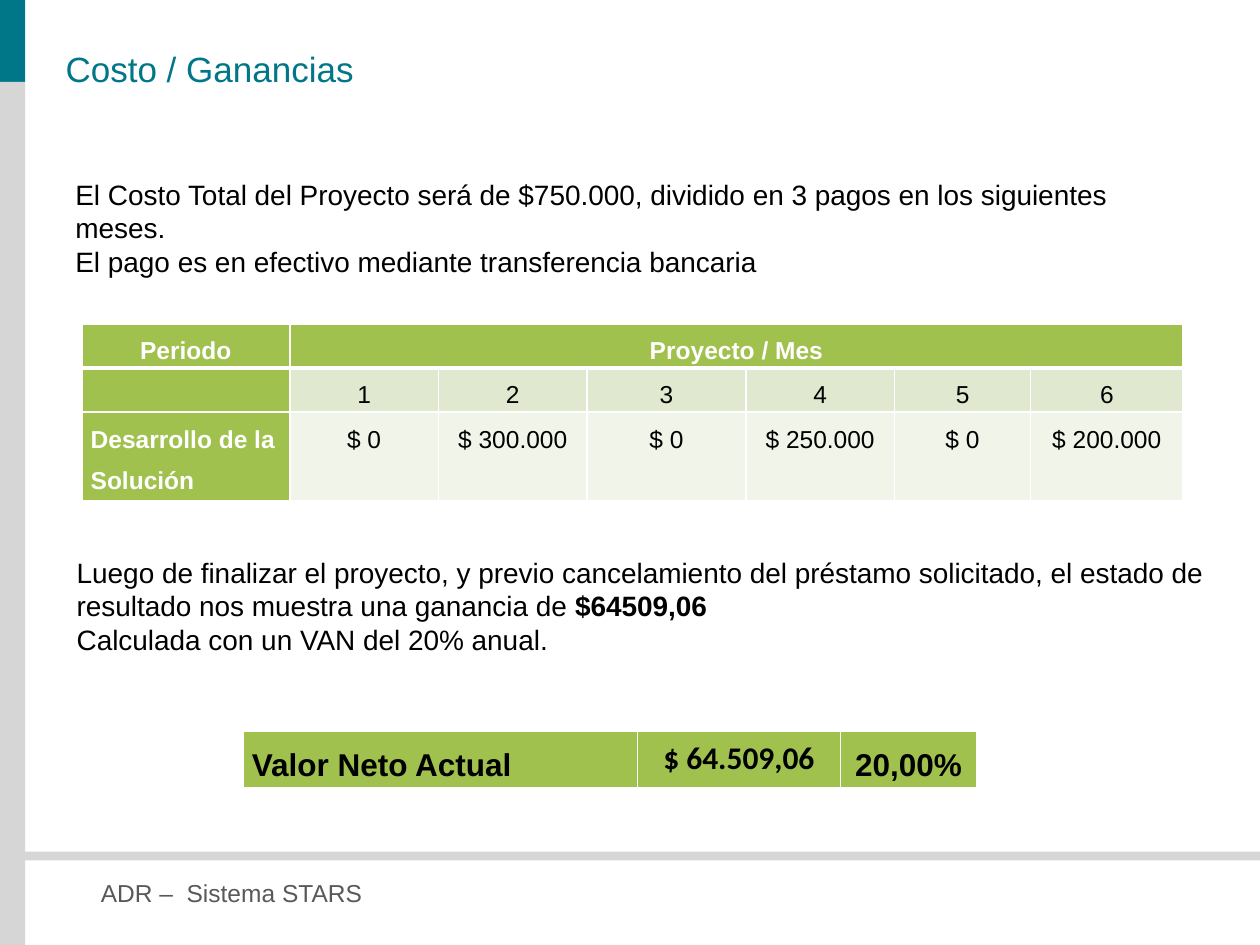
import dataclasses
import typing

import pptx
import pptx.dml.color
import pptx.enum.shapes
import pptx.enum.text
import pptx.oxml
import pptx.oxml.ns
import pptx.util

RGB = pptx.dml.color.RGBColor
ALIGN = pptx.enum.text.PP_ALIGN
ANCHOR = pptx.enum.text.MSO_ANCHOR

TEAL = RGB(0x00, 0x77, 0x88)
GREY = RGB(0xD6, 0xD6, 0xD6)
SLATE = RGB(0x59, 0x59, 0x59)
GREEN = RGB(0xA1, 0xC1, 0x4E)
PALE = RGB(0xE0, 0xE9, 0xD0)
MIST = RGB(0xF0, 0xF4, 0xE9)
WHITE = RGB(0xFF, 0xFF, 0xFF)
BLACK = RGB(0x00, 0x00, 0x00)

# The slide is a grid of 100 columns by 75 rows
COLS, ROWS = 100, 75
UNIT = pptx.util.Inches(0.1)


def span(count: float) -> int:
    return round(count * UNIT)


@dataclasses.dataclass
class Box:
    left: float
    top: float
    wide: float
    high: float

    def place(self) -> tuple[int, int, int, int]:
        return span(self.left), span(self.top), span(self.wide), span(self.high)


@dataclasses.dataclass
class Bar:
    box: Box
    color: RGB


@dataclasses.dataclass
class Block:
    box: Box
    lines: list[str]
    strong: str = ""  # bold ending of the first line


@dataclasses.dataclass
class Look:
    fill: RGB
    color: RGB = BLACK
    bold: bool = False
    size: int = 14
    font: str = "Arial"
    align: typing.Any = ALIGN.CENTER
    edge: int = 1  # width of the lower border
    loose: bool = True  # wide line spacing


def style(run, size: int, color: RGB, bold: bool = False, font: str = "Arial") -> None:
    run.font.name = font
    run.font.size = pptx.util.Pt(size)
    run.font.bold = bold
    run.font.color.rgb = color


def inset(frame, side: float = 0, top: float = 0) -> None:
    frame.margin_left = frame.margin_right = span(side)
    frame.margin_top, frame.margin_bottom = span(top), 0


def draw_bar(slide, bar: Bar) -> None:
    shape = slide.shapes.add_shape(pptx.enum.shapes.MSO_SHAPE.RECTANGLE, *bar.box.place())
    shape.shadow.inherit = False
    shape.fill.solid()
    shape.fill.fore_color.rgb = bar.color
    shape.line.fill.background()


def draw_block(slide, block: Block) -> None:
    frame = slide.shapes.add_textbox(*block.box.place()).text_frame
    frame.word_wrap = True
    inset(frame, 1, 0.75)
    frame.text = "\n".join(block.lines)
    for para in frame.paragraphs:
        style(para.runs[0], 16, BLACK)
    if block.strong:
        run = frame.paragraphs[0].add_run()
        run.text = block.strong
        style(run, 16, BLACK, True)


def draw_edges(cell, low: int) -> None:
    props = cell._tc.get_or_add_tcPr()
    for spot, side in enumerate("LRTB"):
        width = pptx.util.Pt(low if side == "B" else 1)
        props.insert(spot, pptx.oxml.parse_xml(
            f'<a:ln{side} {pptx.oxml.ns.nsdecls("a")} w="{width}"><a:solidFill>'
            f'<a:srgbClr val="{WHITE}"/></a:solidFill></a:ln{side}>'))


def draw_cell(cell, text: str, look: Look) -> None:
    cell.fill.solid()
    cell.fill.fore_color.rgb = look.fill
    cell.margin_left = cell.margin_right = span(0.7 if look.loose else 0.1)
    cell.margin_top = cell.margin_bottom = 0
    cell.vertical_anchor = ANCHOR.TOP if look.loose else ANCHOR.MIDDLE
    draw_edges(cell, look.edge)
    cell.text_frame.text = text
    para = cell.text_frame.paragraphs[0]
    para.alignment = look.align
    if look.loose:
        para.line_spacing = 1.5
        para.space_before = pptx.util.Pt(6)
    for run in para.runs:
        style(run, look.size, look.color, look.bold, look.font)


def draw_table(slide, left: float, top: float, wide: list[float], high: list[float],
               data: list[list[str]], looks: list[list[Look]]):
    box = Box(left, top, sum(wide), sum(high))
    table = slide.shapes.add_table(len(high), len(wide), *box.place()).table
    for col, width in zip(table.columns, wide):
        col.width = span(width)
    for row, height in zip(table.rows, high):
        row.height = span(height)
    for y, (texts, kinds) in enumerate(zip(data, looks)):
        for x, (text, look) in enumerate(zip(texts, kinds)):
            draw_cell(table.cell(y, x), text, look)
    return table


BARS = [
    Bar(Box(0, 0, 2, 6.5), TEAL),
    Bar(Box(0, 6.5, 2, ROWS - 6.5), GREY),
    Bar(Box(1.7, 67.6, COLS - 1.7, 0.7), GREY),
]

BLOCKS = [
    Block(Box(5.1, 43.3, 91.5, 12.1), [
        "Luego de finalizar el proyecto, y previo cancelamiento del préstamo solicitado, "
        "el estado de resultado nos muestra una ganancia de ",
        "Calculada con un VAN del 20% anual."], "$64509,06"),
    Block(Box(5, 13.3, 91.5, 12.1), [
        "El Costo Total del Proyecto será de $750.000, dividido en 3 pagos en los "
        "siguientes meses.",
        "El pago es en efectivo mediante transferencia bancaria"]),
]

PLAN = [
    ["Periodo", "Proyecto / Mes"] + [""] * 5,
    [""] + [str(month) for month in range(1, 7)],
    ["Desarrollo de la Solución",
     "$ 0", "$ 300.000", "$ 0", "$ 250.000", "$ 0", "$ 200.000"],
]
HEAD = Look(GREEN, WHITE, True, edge=3)
SIDE = Look(GREEN, WHITE, True, align=ALIGN.LEFT)
TOTAL = Look(GREEN, bold=True, size=18)


def main() -> None:
    deck = pptx.Presentation()
    deck.slide_width, deck.slide_height = span(COLS), span(ROWS)
    slide = deck.slides.add_slide(deck.slide_layouts[5])

    # Frame bars and footer
    for bar in BARS:
        draw_bar(slide, bar)
    foot = slide.shapes.add_textbox(*Box(8, 69.7, 71.8, 2.3).place()).text_frame
    foot.word_wrap = True
    inset(foot)
    foot.text = "ADR –  Sistema STARS"
    style(foot.paragraphs[0].runs[0], 14, SLATE)

    # Title
    title = slide.shapes.title
    title.left, title.top, title.width, title.height = Box(5.2, 3.8, 92.4, 3.2).place()
    frame = title.text_frame
    inset(frame)
    frame.vertical_anchor = ANCHOR.MIDDLE
    frame.text = "Costo / Ganancias"
    frame.paragraphs[0].alignment = ALIGN.LEFT
    style(frame.paragraphs[0].runs[0], 20, TEAL)

    # Payment plan
    looks = [[HEAD] * 7, [SIDE] + [Look(PALE)] * 6, [SIDE] + [Look(MIST)] * 6]
    plan = draw_table(slide, 6.5, 25.7, [16.5, 11.8, 11.8, 12.6, 11.8, 10.8, 12.1],
                      [3.2, 3.2, 6.4], PLAN, looks)
    plan.cell(0, 1).merge(plan.cell(0, 6))

    # Net present value
    draw_table(slide, 19.3, 58, [31.3, 16.1, 10.8], [4],
               [["Valor Neto Actual", "$ 64.509,06", "20,00%"]],
               [[dataclasses.replace(TOTAL, align=ALIGN.LEFT),
                 dataclasses.replace(TOTAL, font="Calibri", loose=False), TOTAL]])

    # Notes around the tables
    for block in BLOCKS:
        draw_block(slide, block)

    deck.save("out.pptx")


if __name__ == "__main__":
    main()
